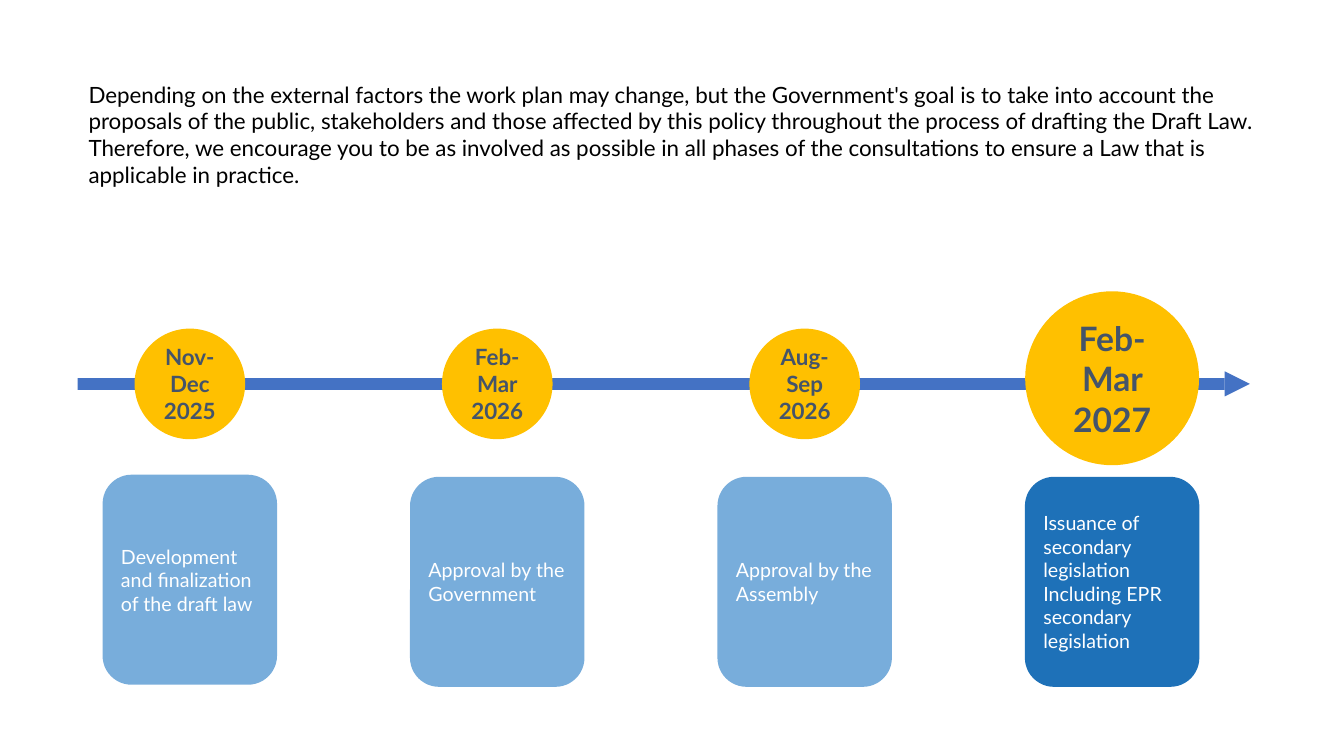
import pptx
import pptx.dml.color
import pptx.enum.shapes
import pptx.enum.text
import pptx.util

Pt = pptx.util.Pt
RGBColor = pptx.dml.color.RGBColor
MSO_SHAPE = pptx.enum.shapes.MSO_SHAPE
PP_ALIGN = pptx.enum.text.PP_ALIGN
MSO_ANCHOR = pptx.enum.text.MSO_ANCHOR

FONT_NAME = "Lato"
BLACK = RGBColor(0x00, 0x00, 0x00)
WHITE = RGBColor(0xFF, 0xFF, 0xFF)
SLATE = RGBColor(0x44, 0x54, 0x6A)
AMBER = RGBColor(0xFF, 0xC0, 0x00)
ARROW_BLUE = RGBColor(0x44, 0x72, 0xC4)
LIGHT_BLUE = RGBColor(0x78, 0xAD, 0xDB)
DARK_BLUE = RGBColor(0x1E, 0x71, 0xB8)

FIRST_CENTER = 135.6
STEP_PITCH = 219.6
CARD_WIDTH = 124.6
CARD_HEIGHT = 150
CARD_TOP = 340.6
SMALL_CIRCLE = (234.7, 79, 16)  # top, diameter, font size
LARGE_CIRCLE = (208.1, 124.2, 24)

INTRO = (
    "Depending on the external factors the work plan may change, but the "
    "Government's goal is to take into account the proposals of the public, "
    "stakeholders and those affected by this policy throughout the process of "
    "drafting the Draft Law. Therefore, we encourage you to be as involved as "
    "possible in all phases of the consultations to ensure a Law that is "
    "applicable in practice."
)

# date, description, circle, card colour, card top
STEPS = [
    ("Nov-Dec\n2025", "Development and finalization of the draft law",
     SMALL_CIRCLE, LIGHT_BLUE, 339.1),
    ("Feb-Mar\n2026", "Approval by the Government",
     SMALL_CIRCLE, LIGHT_BLUE, CARD_TOP),
    ("Aug-Sep 2026", "Approval by the Assembly",
     SMALL_CIRCLE, LIGHT_BLUE, CARD_TOP),
    ("Feb-Mar 2027",
     "Issuance of secondary legislation\nIncluding EPR secondary legislation",
     LARGE_CIRCLE, DARK_BLUE, CARD_TOP),
]


def add_filled_shape(slide, kind, left, top, width, height, color):
    shape = slide.shapes.add_shape(kind, Pt(left), Pt(top), Pt(width), Pt(height))
    shape.shadow.inherit = False
    shape.fill.solid()
    shape.fill.fore_color.rgb = color
    shape.line.fill.background()
    return shape


def write_text(shape, text, size, color, alignment=PP_ALIGN.LEFT, bold=False):
    text_frame = shape.text_frame
    text_frame.word_wrap = True
    text_frame.text = text
    for paragraph in text_frame.paragraphs:
        paragraph.alignment = alignment
        for run in paragraph.runs:
            run.font.name = FONT_NAME
            run.font.size = Pt(size)
            run.font.bold = bold
            run.font.color.rgb = color


def add_intro(slide):
    box = slide.shapes.add_textbox(Pt(56.2), Pt(32.4), Pt(846.7), Pt(106.6))
    box.text_frame.margin_top = Pt(25.2)
    write_text(box, INTRO, 16, BLACK)


def add_timeline_arrow(slide):
    add_filled_shape(slide, MSO_SHAPE.RECTANGLE, 55.4, 270, 819.4, 8.6, ARROW_BLUE)
    head = add_filled_shape(slide, MSO_SHAPE.ISOSCELES_TRIANGLE,
                            874.8, 265.2, 18, 18, ARROW_BLUE)
    head.rotation = 90


def add_step(slide, center, date, description, circle, card_color, card_top):
    """Add a date circle on the arrow and its description card below."""
    circle_top, diameter, date_size = circle
    date_circle = add_filled_shape(slide, MSO_SHAPE.OVAL, center - diameter / 2,
                                   circle_top, diameter, diameter, AMBER)
    write_text(date_circle, date, date_size, SLATE, PP_ALIGN.CENTER, bold=True)
    card = add_filled_shape(slide, MSO_SHAPE.ROUNDED_RECTANGLE,
                            center - CARD_WIDTH / 2, card_top,
                            CARD_WIDTH, CARD_HEIGHT, card_color)
    write_text(card, description, 14, WHITE)
    for shape in (date_circle, card):
        shape.text_frame.vertical_anchor = MSO_ANCHOR.MIDDLE


def main():
    presentation = pptx.Presentation()
    presentation.slide_width = Pt(960)
    presentation.slide_height = Pt(540)
    slide = presentation.slides.add_slide(presentation.slide_layouts[6])

    add_intro(slide)
    add_timeline_arrow(slide)
    for index, step in enumerate(STEPS):
        add_step(slide, FIRST_CENTER + index * STEP_PITCH, *step)

    presentation.save("out.pptx")


if __name__ == "__main__":
    main()
